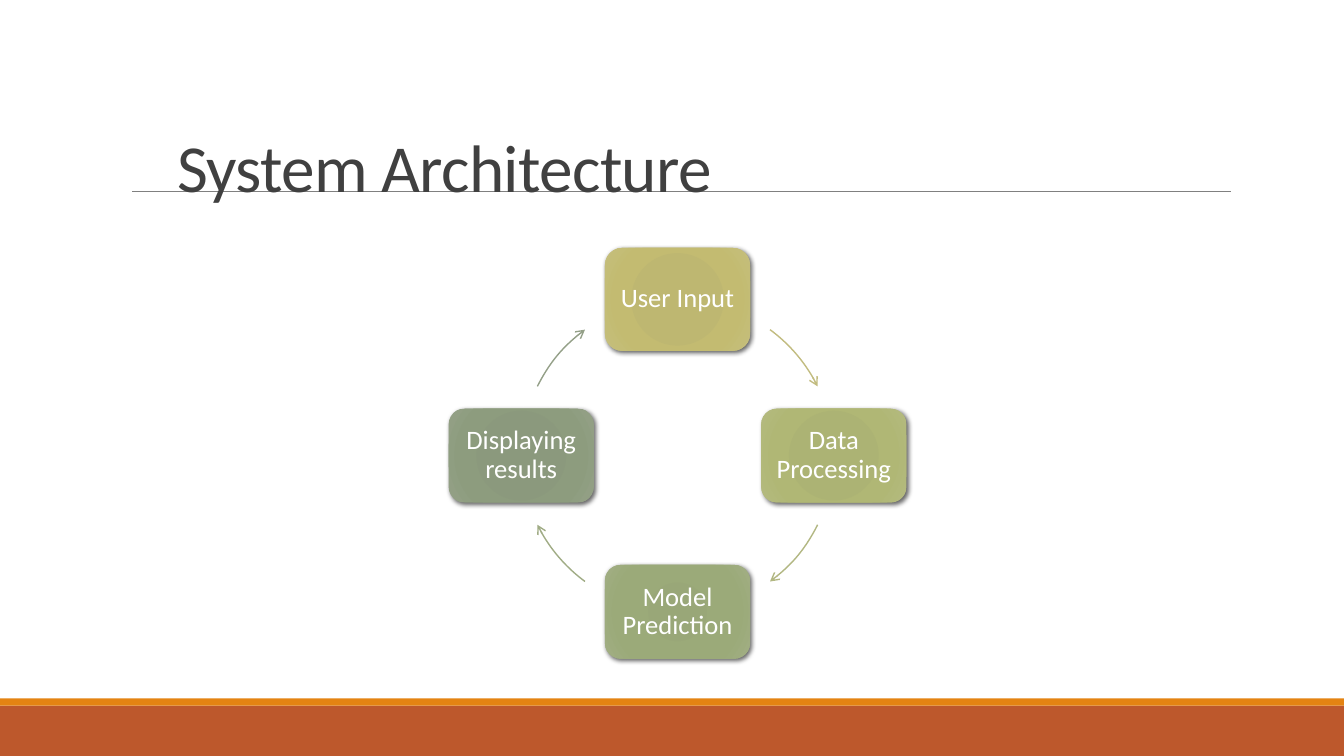
from math import cos, radians, sin

from pptx import Presentation
from pptx.dml.color import RGBColor
from pptx.enum.shapes import MSO_CONNECTOR, MSO_SHAPE
from pptx.enum.text import MSO_ANCHOR, PP_ALIGN
from pptx.oxml import parse_xml
from pptx.oxml.ns import nsdecls, qn
from pptx.util import Inches, Pt
from lxml.etree import SubElement

COLORS = {
    "rust": "BD582C", "orange": "E48312", "rule": "808080",
    "title": "404040", "white": "FFFFFF", "shadow": "000000",
}


def write(shape, text, size, color, align=PP_ALIGN.LEFT, anchor=MSO_ANCHOR.MIDDLE,
          line_spacing=0.9, inset=0.1, inset_y=0.05, tracking=0):
    frame = shape.text_frame
    frame.word_wrap = True
    frame.vertical_anchor = anchor
    frame.margin_left = frame.margin_right = Inches(inset)
    frame.margin_top = frame.margin_bottom = Inches(inset_y)
    paragraph = frame.paragraphs[0]
    paragraph.alignment = align
    paragraph.line_spacing = line_spacing
    run = paragraph.add_run()
    run.text = text
    run.font.name = "Calibri"
    run.font.size = Pt(size)
    run.font.color.rgb = RGBColor.from_string(COLORS[color])
    if tracking:
        run.font._element.set("spc", str(int(tracking * 100)))


def style_step(shape, stops):
    """Give a step its radial gradient and soft shadow."""
    shape.line.fill.background()
    shape.fill.background()
    gradient_stops = "".join(
        f'<a:gs pos="{position * 1000}"><a:srgbClr val="{color}"/></a:gs>'
        for position, color in zip((0, 34, 70, 100), stops))
    properties = shape._element.spPr
    properties.replace(properties.find(qn("a:noFill")), parse_xml(
        f'<a:gradFill {nsdecls("a")} rotWithShape="1"><a:gsLst>{gradient_stops}</a:gsLst>'
        '<a:path path="circle"><a:fillToRect l="100000" t="100000" r="100000" b="100000"/>'
        '</a:path></a:gradFill>'))
    shape.shadow.inherit = False
    properties.find(qn("a:effectLst")).append(parse_xml(
        f'<a:outerShdw {nsdecls("a")} blurRad="{Pt(3.5)}" dist="{Pt(2)}" dir="2700000" '
        f'algn="br" rotWithShape="0"><a:srgbClr val="{COLORS["shadow"]}">'
        '<a:alpha val="60000"/></a:srgbClr></a:outerShdw>'))


deck = Presentation()
deck.slide_width, deck.slide_height = Inches(13.33), Inches(7.5)
slide = deck.slides.add_slide(deck.slide_layouts[6])
shapes = slide.shapes

# Footer bands
for top, height, color in ((7, 0.5, "rust"), (6.93, 0.07, "orange")):
    band = shapes.add_shape(MSO_SHAPE.RECTANGLE, 0, Inches(top),
                            deck.slide_width, Inches(height))
    band.fill.solid()
    band.fill.fore_color.rgb = RGBColor.from_string(COLORS[color])
    band.line.fill.background()
    band.shadow.inherit = False

# Title and its rule
rule = shapes.add_connector(MSO_CONNECTOR.STRAIGHT, Inches(1.31), Inches(1.9),
                            Inches(12.21), Inches(1.9))
rule.line.color.rgb = RGBColor.from_string(COLORS["rule"])
rule.line.width = Pt(0.5)
SubElement(rule._element.spPr, qn("a:effectLst"))
title = shapes.add_textbox(Inches(1.66), Inches(0.17), Inches(10.96), Inches(1.92))
write(title, "System Architecture", 48, "title", anchor=MSO_ANCHOR.BOTTOM,
      line_spacing=0.85, tracking=-0.5)

# Cycle: steps sit on a circle a quarter turn apart, clockwise from the top
CENTER_X, CENTER_Y, RADIUS = 6.72, 4.52, 1.55
STEP_WIDTH = 1.44
ARROW_SWEEP = 27.4  # degrees, centred between two steps
steps = [
    ("User Input", 1.02, ("BEB76E", "BEB771", "C3BB71", "C5BF7D"), "C2BC80"),
    ("Data Processing", 0.93, ("ABB272", "ACB374", "B0B775", "B4BA7F"), "B2B782"),
    ("Model Prediction", 0.93, ("97A676", "99A778", "9BAA79", "A1AE83"), "A0AC85"),
    ("Displaying results", 0.93, ("8A987B", "8B997D", "8D9C7E", "94A187"), "94A088"),
]
for index, (label, height, stops, arrow_color) in enumerate(steps):
    angle = (270 + 90 * index) % 360
    x = CENTER_X + RADIUS * cos(radians(angle))
    y = CENTER_Y + RADIUS * sin(radians(angle))
    step = shapes.add_shape(MSO_SHAPE.ROUNDED_RECTANGLE, Inches(x - STEP_WIDTH / 2),
                            Inches(y - height / 2), Inches(STEP_WIDTH), Inches(height))
    style_step(step, stops)
    write(step, label, 19, "white", align=PP_ALIGN.CENTER, inset=0.08, inset_y=0.08)

    # Arrow to the next step, clear of the wide boxes at top and bottom;
    # arc angles are stored in 60000ths of a degree
    middle = angle + (50 if index % 2 == 0 else 40)
    arrow = shapes.add_shape(MSO_SHAPE.ARC, Inches(CENTER_X - RADIUS),
                             Inches(CENTER_Y - RADIUS), Inches(2 * RADIUS), Inches(2 * RADIUS))
    arrow.adjustments[0] = (middle - ARROW_SWEEP / 2) * 0.6
    arrow.adjustments[1] = (middle + ARROW_SWEEP / 2) * 0.6
    arrow.fill.background()
    arrow.line.color.rgb = RGBColor.from_string(arrow_color)
    arrow.line.width = Pt(1)
    arrow.shadow.inherit = False
    SubElement(arrow.line._get_or_add_ln(), qn("a:tailEnd"), type="arrow")

deck.save("out.pptx")
